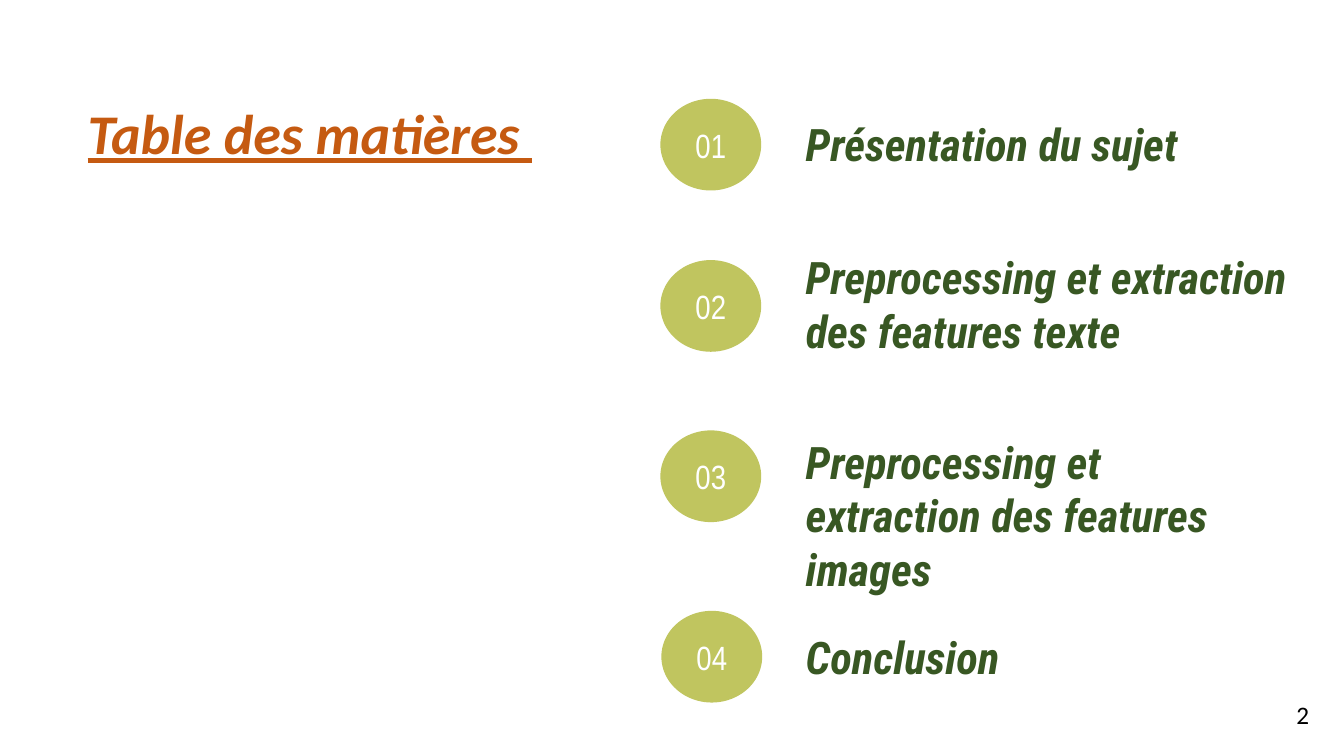
from pptx import Presentation
from pptx.dml.color import RGBColor
from pptx.enum.shapes import MSO_SHAPE
from pptx.enum.text import MSO_ANCHOR as ANCHOR, PP_ALIGN as ALIGN
from pptx.util import Pt

# Content: number, circle left and top, heading, heading top, width and height
TITLE = "Table des matières "
CHAPTERS = [
    ("01", 655, 98, "Présentation du sujet", 111, 497, 64),
    ("02", 655, 258, "Preprocessing et extraction des features texte", 243, 546, 118),
    ("03", 655, 427, "Preprocessing et extraction des features images", 426, 497, 118),
    ("04", 656, 606, "Conclusion", 620, 497, 64),
]
PAGE = "2"

ORANGE = RGBColor(0xC5, 0x5A, 0x11)
GREEN = RGBColor(0x38, 0x57, 0x23)
OLIVE = RGBColor(0xC0, 0xC5, 0x5F)
WHITE = RGBColor(0xFF, 0xFF, 0xFF)
BLACK = RGBColor(0, 0, 0)

EMU_PER_PX = 9144  # 100 px to the inch
HEADING_X = 787
CIRCLE_W, CIRCLE_H = 100, 91


def px(*lengths):
    return [n * EMU_PER_PX for n in lengths]


def write(sp, text, font, size, color, bold=False, underline=False,
          align=ALIGN.LEFT, anchor=ANCHOR.TOP, insets=(10, 5)):
    tf = sp.text_frame
    tf.word_wrap = True
    tf.vertical_anchor = anchor
    side, edge = px(*insets)
    tf.margin_left = tf.margin_right = side
    tf.margin_top = tf.margin_bottom = edge
    p = tf.paragraphs[0]
    p.alignment = align
    f = p.font
    f.name, f.size, f.color.rgb = font, Pt(size), color
    f.bold = f.italic = bold
    f.underline = underline
    p.add_run().text = text


prs = Presentation()
prs.slide_width, prs.slide_height = px(1333, 750)
s = prs.slides.add_slide(prs.slide_layouts[6])

# Title
write(s.shapes.add_textbox(*px(24, 59, 567, 145)), TITLE, "Calibri", 40, ORANGE,
      bold=True, underline=True, align=ALIGN.CENTER, anchor=ANCHOR.MIDDLE)

# Numbered chapters
for number, x, y, heading, top, width, height in CHAPTERS:
    sp = s.shapes.add_shape(MSO_SHAPE.OVAL, *px(x, y, CIRCLE_W, CIRCLE_H))
    sp.shadow.inherit = False
    sp.fill.solid()
    sp.fill.fore_color.rgb = OLIVE
    sp.line.fill.background()
    write(sp, number, "Arial Narrow", 24, WHITE,
          align=ALIGN.CENTER, anchor=ANCHOR.MIDDLE, insets=(13, 13))
    write(s.shapes.add_textbox(*px(HEADING_X, top, width, height)), heading,
          "Roboto Condensed", 32, GREEN, bold=True, insets=(12, 5))

# Page number
write(s.shapes.add_textbox(*px(1276, 689, 52, 40)), PAGE, "Calibri", 18, BLACK)

prs.save("out.pptx")
